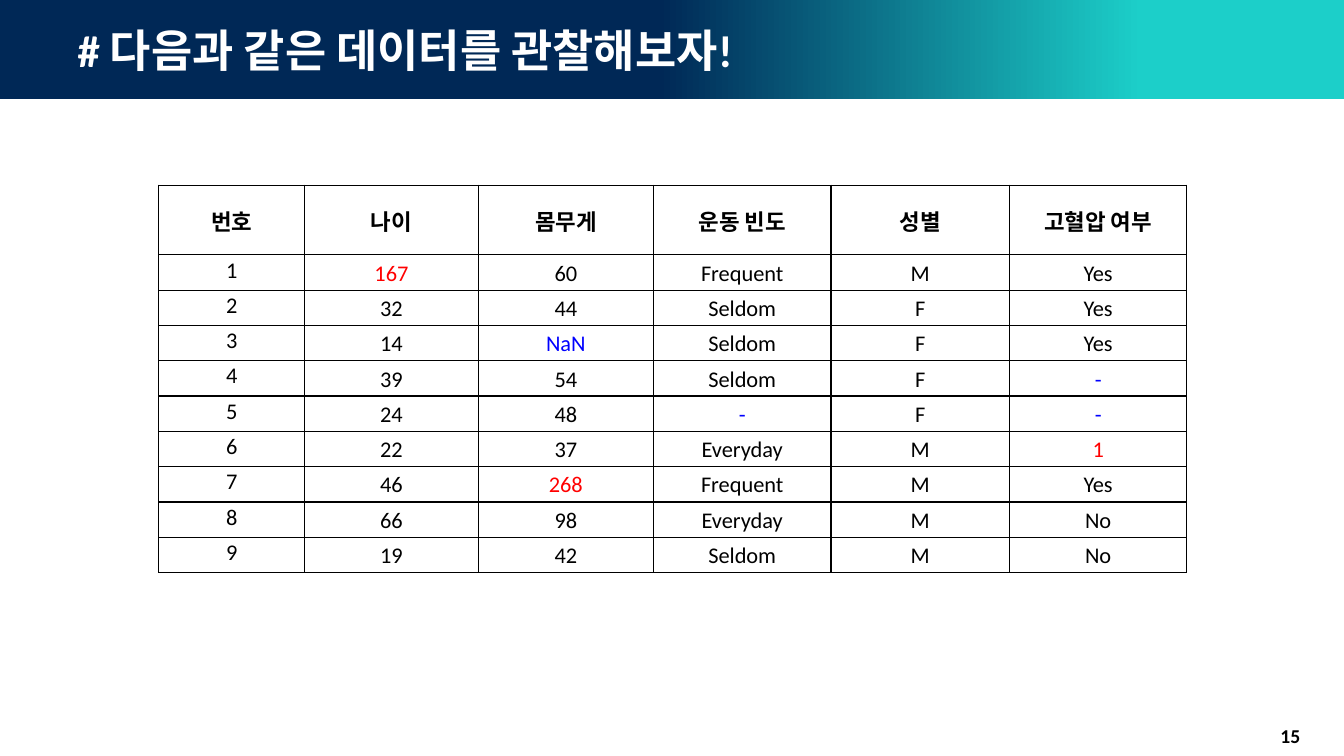
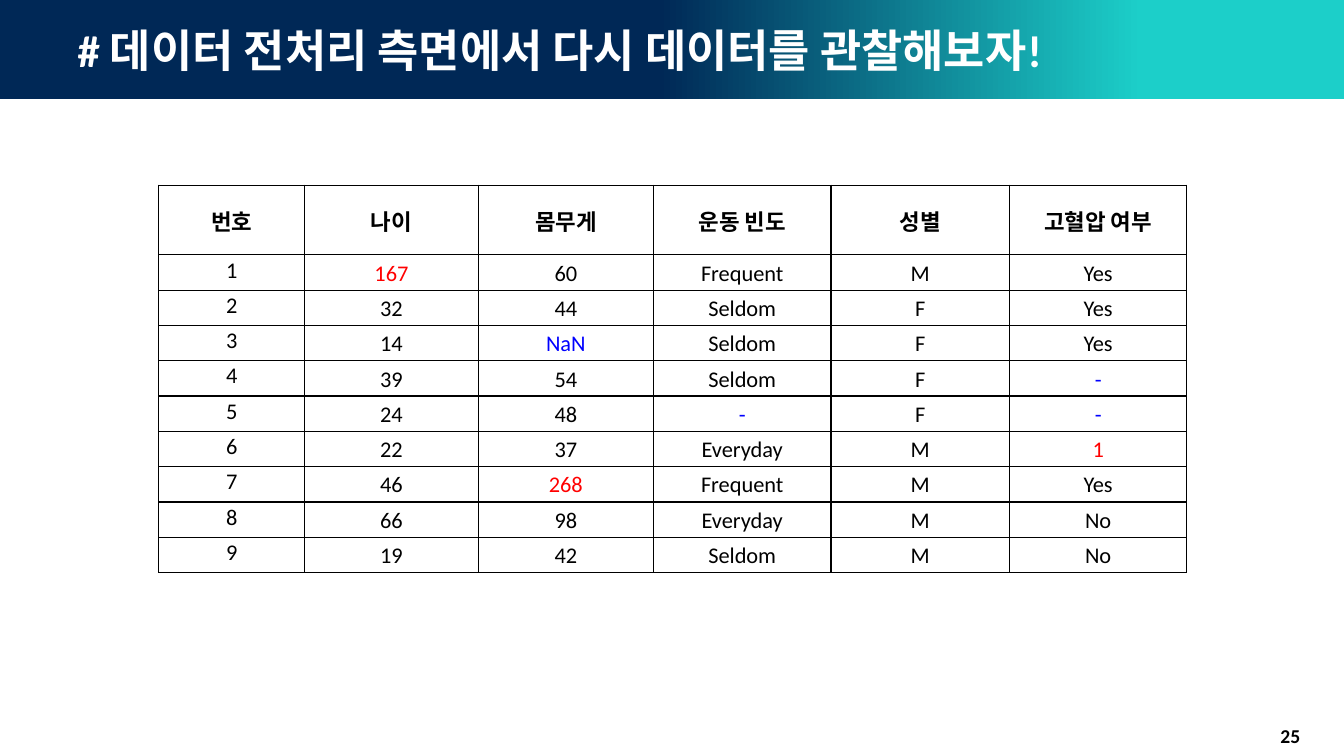
from lxml.etree import SubElement
from pptx import Presentation
from pptx.dml.color import RGBColor
from pptx.enum.shapes import MSO_SHAPE
from pptx.enum.text import MSO_ANCHOR as ANCHOR, MSO_AUTO_SIZE as AUTO, PP_ALIGN as ALIGN
from pptx.oxml.ns import qn
from pptx.util import Cm, Pt

SLIDES = [
    ("# 다음과 같은 데이터를 관찰해보자!", "15"),
    ("# 데이터 전처리 측면에서 다시 데이터를 관찰해보자!", "25"),
]
HEADER = ["번호", "나이", "몸무게", "운동 빈도", "성별", "고혈압 여부"]
RECORDS = [
    ("167", "60", "Frequent", "M", "Yes"),
    ("32", "44", "Seldom", "F", "Yes"),
    ("14", "NaN", "Seldom", "F", "Yes"),
    ("39", "54", "Seldom", "F", "-"),
    ("24", "48", "-", "F", "-"),
    ("22", "37", "Everyday", "M", "1"),
    ("46", "268", "Frequent", "M", "Yes"),
    ("66", "98", "Everyday", "M", "No"),
    ("19", "42", "Seldom", "M", "No"),
]
ROWS = [HEADER] + [(str(n), *record) for n, record in enumerate(RECORDS, 1)]

BLACK, WHITE, RED, BLUE = "000000", "FFFFFF", "FF0000", "0000FF"
NAVY, TEAL = "002856", "1CCFC9"
VALUE_COLOURS = {"167": RED, "268": RED, "1": RED, "NaN": BLUE, "-": BLUE}

FONT = "Calibri"
TITLE_FONT = dict(name=FONT, size=Pt(32), bold=True)
NUMBER_FONT = dict(name=FONT, size=Pt(14), bold=True)
HEADER_FONT = dict(name=FONT, size=Pt(16), bold=True)
BODY_FONT = dict(HEADER_FONT, bold=False)

SLIDE_W, SLIDE_H, BAND_H = Cm(33.87), Cm(19.05), Cm(2.49)
TITLE_BOX = dict(left=Cm(1.7), top=Cm(0), width=Cm(30.48), height=BAND_H)
NUMBER_BOX = dict(left=Cm(25.65), top=Cm(18.03), width=Cm(7.37), height=Cm(1.02))
TABLE_LEFT, TABLE_TOP = Cm(4), Cm(4.67)
COL_WIDTHS = [Cm(w) for w in (3.68, 4.37, 4.42, 4.47, 4.5, 4.47)]
ROW_HEIGHTS = [Cm(1.75)] + [Cm(0.89)] * len(RECORDS)
CELL_FORMAT = dict(margin_left=Cm(0.18), margin_right=Cm(0.18), margin_top=0, margin_bottom=0)


def rgb(colour):
    return RGBColor.from_string(colour)


def set_attrs(target, values):
    for name, value in values.items():
        setattr(target, name, value)


def write(tf, text, font, colour, align):
    p = tf.paragraphs[0]
    p.alignment = align
    r = p.add_run()
    r.text = text
    set_attrs(r.font, font)
    r.font.color.rgb = rgb(colour)
    return p


def add_band(slide, layout):
    """Draw the gradient band and move it behind the layout's placeholders."""
    band = slide.shapes.add_shape(MSO_SHAPE.RECTANGLE, 0, 0, SLIDE_W, BAND_H)
    band.shadow.inherit = False
    band.line.fill.background()
    band.fill.gradient()
    band.fill.gradient_angle = 0
    for stop, (position, colour) in zip(band.fill.gradient_stops, [(0.49, NAVY), (0.85, TEAL)]):
        stop.position = position
        stop.color.rgb = rgb(colour)
    layout.shapes.element.insert(2, band.element)


def add_title(slide, text):
    title = slide.shapes.title
    set_attrs(title, TITLE_BOX)
    tf = title.text_frame
    set_attrs(tf, dict(word_wrap=True, auto_size=AUTO.NONE, vertical_anchor=ANCHOR.MIDDLE))
    write(tf, text, TITLE_FONT, WHITE, ALIGN.LEFT)


def add_number(slide, number):
    tf = slide.shapes.add_textbox(**NUMBER_BOX).text_frame
    set_attrs(tf, dict(word_wrap=True, vertical_anchor=ANCHOR.MIDDLE))
    write(tf, number, NUMBER_FONT, BLACK, ALIGN.RIGHT)


def add_borders(cell):
    tcPr = cell._tc.get_or_add_tcPr()
    for side in ("lnL", "lnR", "lnT", "lnB"):
        line = SubElement(tcPr, qn(f"a:{side}"), w=str(Pt(1)))
        SubElement(SubElement(line, qn("a:solidFill")), qn("a:srgbClr"), val=BLACK)


def add_data_table(slide):
    table = slide.shapes.add_table(len(ROWS), len(HEADER), TABLE_LEFT, TABLE_TOP,
                                   sum(COL_WIDTHS), sum(ROW_HEIGHTS)).table
    table.horz_banding = False
    for column, width in zip(table.columns, COL_WIDTHS):
        column.width = width
    for i, (row, height, values) in enumerate(zip(table.rows, ROW_HEIGHTS, ROWS)):
        row.height = height
        for j, (cell, value) in enumerate(zip(row.cells, values)):
            is_row_number = i > 0 and j == 0
            set_attrs(cell, CELL_FORMAT)
            cell.vertical_anchor = ANCHOR.TOP if is_row_number else ANCHOR.MIDDLE
            add_borders(cell)
            cell.fill.background()
            colour = BLACK if is_row_number else VALUE_COLOURS.get(value, BLACK)
            p = write(cell.text_frame, value, BODY_FONT if i else HEADER_FONT, colour, ALIGN.CENTER)
            p.line_spacing = 1.07


def main():
    prs = Presentation()
    prs.slide_width, prs.slide_height = SLIDE_W, SLIDE_H
    layout = prs.slide_layouts.get_by_name("Title Only")
    for i, (title, number) in enumerate(SLIDES):
        slide = prs.slides.add_slide(layout)
        if i == 0:
            add_band(slide, layout)
        add_title(slide, title)
        add_number(slide, number)
        add_data_table(slide)
    prs.save("out.pptx")


if __name__ == "__main__":
    main()
